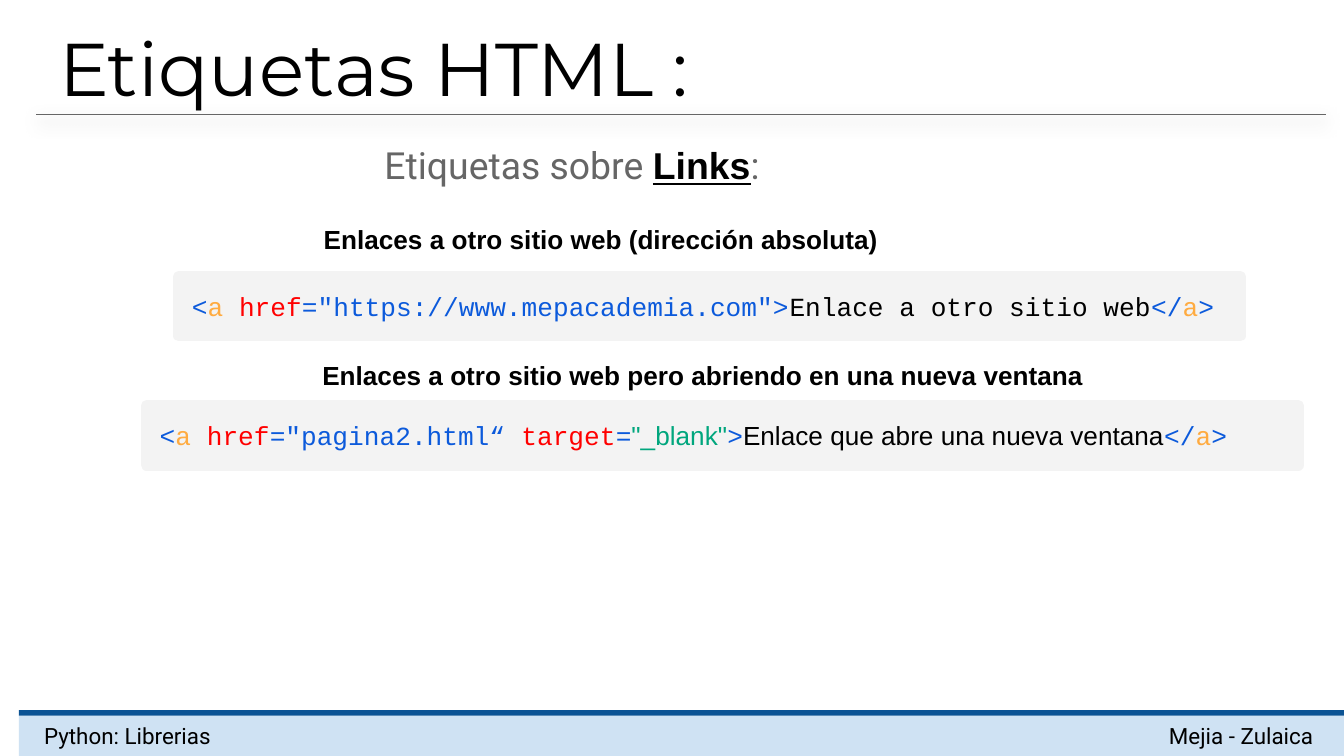
from typing import NamedTuple

from lxml.etree import SubElement
from pptx import Presentation
from pptx.dml.color import RGBColor
from pptx.enum.shapes import MSO_CONNECTOR, MSO_SHAPE
from pptx.enum.text import MSO_ANCHOR as Anchor, MSO_AUTO_SIZE as AutoSize, PP_ALIGN as Align
from pptx.oxml.ns import qn
from pptx.util import Inches, Pt

SLIDE_WIDTH = 10
SLIDE_HEIGHT = SLIDE_WIDTH * 9 / 16
FOOTER_HEIGHT = 0.3
FOOTER_TOP = SLIDE_HEIGHT - FOOTER_HEIGHT
EDGE_HEIGHT = 0.04

BLACK = RGBColor(0x00, 0x00, 0x00)
GRAY = RGBColor(0x66, 0x66, 0x66)
CODE_FILL = RGBColor(0xF3, 0xF3, 0xF3)
FOOTER_FILL = RGBColor(0xCF, 0xE2, 0xF3)
FOOTER_EDGE = RGBColor(0x0B, 0x53, 0x94)
BLUE = RGBColor(0x0C, 0x5A, 0xDB)
ORANGE = RGBColor(0xFF, 0xAB, 0x40)
RED = RGBColor(0xFF, 0x00, 0x00)
GREEN = RGBColor(0x00, 0xA6, 0x7D)

CODE_FONT = "Courier New"


class Box(NamedTuple):
    left: float
    top: float
    width: float
    height: float

    def lengths(self) -> list:
        return [Inches(value) for value in self]


class Run(NamedTuple):
    text: str
    color: RGBColor = BLACK
    font: str = "Arial"
    bold: bool = False
    underline: bool = False


class Example(NamedTuple):
    heading: str
    heading_box: Box
    code: list[Run]
    code_box: Box


def code(text: str, color: RGBColor = BLUE) -> Run:
    return Run(text, color, CODE_FONT)


OPENING = [code("<"), code("a ", ORANGE), code("href", RED)]
CLOSING = [code("</"), code("a", ORANGE), code(">")]

EXAMPLES = [
    Example(
        "Enlaces a otro sitio web (dirección absoluta)",
        Box(2.27, 1.58, 5, 0.35),
        [*OPENING, code('="https://www.mepacademia.com">'),
         code("Enlace a otro sitio web", BLACK), *CLOSING],
        Box(1.33, 2.06, 7.9, 0.44),
    ),
    Example(
        "Enlaces a otro sitio web pero abriendo en una nueva ventana",
        Box(2.26, 2.59, 6.44, 0.35),
        [*OPENING, code('="pagina2.html“ '), code("target", RED), code("="),
         Run('"_blank"', GREEN), code(">"),
         Run("Enlace que abre una nueva ventana"), *CLOSING],
        Box(1.09, 3.02, 8.57, 0.44),
    ),
]


def write_text(shape, runs: list[Run], *, size: float, align=Align.LEFT,
               anchor=Anchor.TOP, inset_y: float = 0.1, indent: float = 0,
               line_spacing: float = 1.0, auto_size=AutoSize.NONE) -> None:
    frame = shape.text_frame
    frame.word_wrap = True
    frame.auto_size = auto_size
    frame.vertical_anchor = anchor
    frame.margin_left = frame.margin_right = Inches(0.1)
    frame.margin_top = frame.margin_bottom = Inches(inset_y)
    paragraph = frame.paragraphs[0]
    properties = paragraph._p.get_or_add_pPr()
    properties.set("marL", str(Inches(indent)))
    properties.set("indent", "0")
    SubElement(properties, qn("a:buNone"))
    paragraph.alignment = align
    paragraph.line_spacing = line_spacing
    paragraph.space_before = Pt(0)
    for item in runs:
        run = paragraph.add_run()
        run.text = item.text
        run.font.size = Pt(size)
        run.font.name = item.font
        run.font.bold = item.bold
        run.font.underline = item.underline
        run.font.color.rgb = item.color


def add_rectangle(slide, box: Box, fill: RGBColor, line_width: float = 0):
    shape = slide.shapes.add_shape(MSO_SHAPE.RECTANGLE, *box.lengths())
    shape.shadow.inherit = False
    shape.fill.solid()
    shape.fill.fore_color.rgb = fill
    if line_width:
        # Round joins on a thick outline soften the corners
        shape.line.color.rgb = fill
        shape.line.width = Pt(line_width)
        SubElement(shape.line._get_or_add_ln(), qn("a:round"))
    else:
        shape.line.fill.background()
    return shape


def add_text(slide, box: Box, runs: list[Run], **text_format) -> None:
    write_text(slide.shapes.add_textbox(*box.lengths()), runs, **text_format)


def place(placeholder, box: Box) -> None:
    placeholder.left, placeholder.top, placeholder.width, placeholder.height = box.lengths()


def add_title_rule(slide) -> None:
    rule = slide.shapes.add_connector(
        MSO_CONNECTOR.STRAIGHT, Inches(0.27), Inches(0.85), Inches(9.87), Inches(0.85))
    rule.line.color.rgb = GRAY
    rule.line.width = Pt(0.75)
    effects = SubElement(rule._element.spPr, qn("a:effectLst"))
    shadow = SubElement(effects, qn("a:outerShdw"), blurRad=str(Pt(9)), dist=str(Pt(3.8)),
                        dir="5400000", algn="bl", rotWithShape="0")
    color = SubElement(shadow, qn("a:srgbClr"), val=str(BLACK))
    SubElement(color, qn("a:alpha"), val="26000")


def main() -> None:
    presentation = Presentation()
    presentation.slide_width = Inches(SLIDE_WIDTH)
    presentation.slide_height = Inches(SLIDE_HEIGHT)
    slide = presentation.slides.add_slide(presentation.slide_layouts[1])

    # Footer band
    add_rectangle(slide, Box(0.14, FOOTER_TOP, 9.86, FOOTER_HEIGHT), FOOTER_FILL)
    add_rectangle(slide, Box(0.14, FOOTER_TOP - EDGE_HEIGHT, 9.86, EDGE_HEIGHT), FOOTER_EDGE)
    for left, text, align in [(0.23, "Python: Librerias", Align.LEFT),
                              (7.46, "Mejia - Zulaica", Align.RIGHT)]:
        add_text(slide, Box(left, FOOTER_TOP, 2.41, FOOTER_HEIGHT),
                 [Run(text, font="Roboto")], size=12, align=align, anchor=Anchor.MIDDLE)

    # Title and its rule
    add_title_rule(slide)
    title = slide.shapes.title
    place(title, Box(0.34, 0.06, 9.32, 0.76))
    write_text(title, [Run("Etiquetas HTML :", font="Montserrat")], size=40)

    # Subtitle
    body = slide.placeholders[1]
    place(body, Box(2.76, 0.91, 3.42, 0.57))
    write_text(body, [Run("Etiquetas sobre ", GRAY, "Roboto"),
                      Run("Links", bold=True, underline=True),
                      Run(":", GRAY, "Roboto")], size=20, line_spacing=1.15)

    # Headings with their code
    for example in EXAMPLES:
        add_text(slide, example.heading_box, [Run(example.heading, bold=True)], size=14,
                 inset_y=0.05, indent=0.04, line_spacing=1.15,
                 auto_size=AutoSize.SHAPE_TO_FIT_TEXT)
        panel = add_rectangle(slide, example.code_box, CODE_FILL, line_width=6)
        write_text(panel, example.code, size=14, auto_size=AutoSize.SHAPE_TO_FIT_TEXT)

    presentation.save("out.pptx")


if __name__ == "__main__":
    main()
